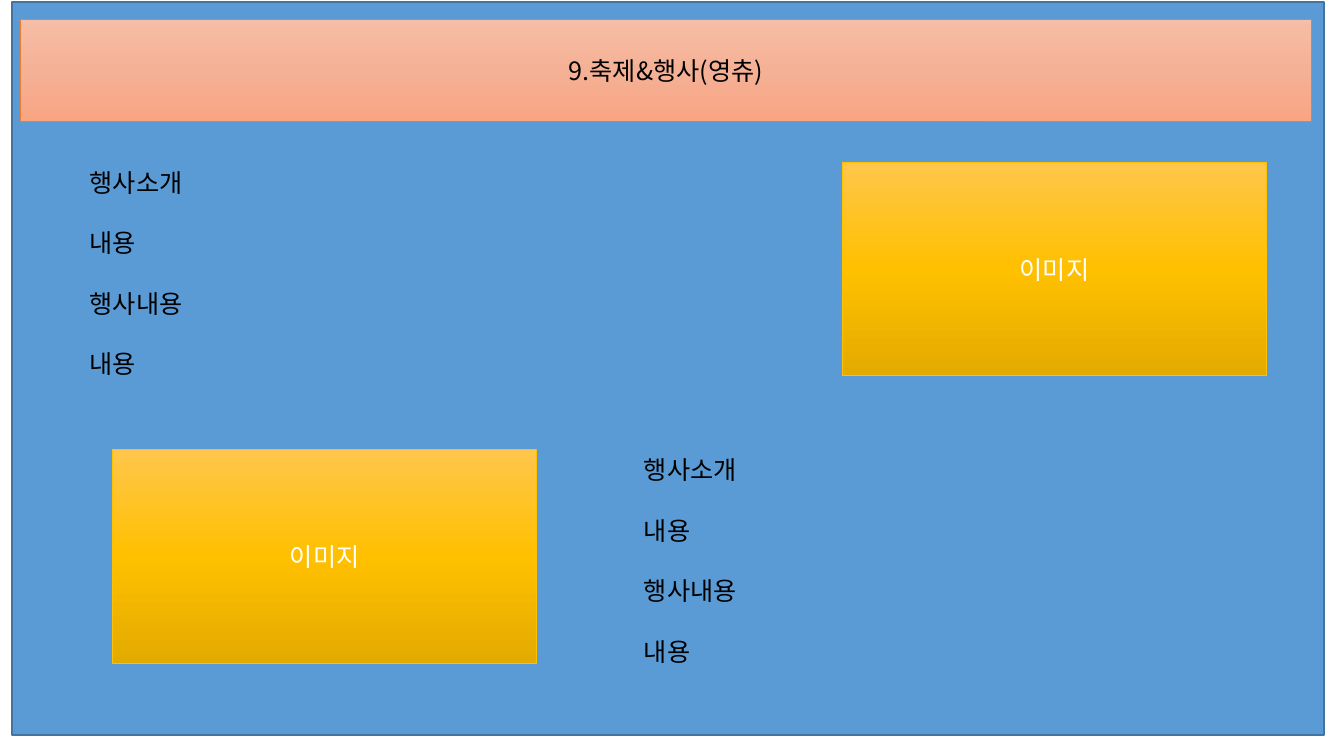
from copy import deepcopy

from lxml.etree import SubElement
from pptx import Presentation
from pptx.dml.color import RGBColor
from pptx.enum.shapes import MSO_SHAPE
from pptx.enum.text import MSO_ANCHOR, MSO_AUTO_SIZE, PP_ALIGN
from pptx.oxml.ns import qn
from pptx.util import Cm, Pt

FONT = "Noto Sans CJK KR"
BLACK = RGBColor(0x00, 0x00, 0x00)
WHITE = RGBColor(0xFF, 0xFF, 0xFF)
BLUE = RGBColor(0x5B, 0x9B, 0xD5)
DARK_BLUE = RGBColor(0x43, 0x73, 0x9E)
ORANGE = RGBColor(0xED, 0x7D, 0x31)
GOLD = RGBColor(0xFF, 0xC0, 0x00)
PEACH_SHADES = (RGBColor(0xF7, 0xBD, 0xA5), RGBColor(0xF5, 0xB1, 0x96),
                RGBColor(0xF8, 0xA5, 0x82))
GOLD_SHADES = (RGBColor(0xFF, 0xC6, 0x4B), GOLD, RGBColor(0xE3, 0xAB, 0x00))

LINE_PITCH = Pt(21.6)
EVENT_LINES = ("행사소개", "내용", "행사내용", "내용")


def format_paragraph(paragraph, color, align):
    paragraph.alignment = align
    paragraph.font.name = FONT
    paragraph.font.size = Pt(18)
    paragraph.font.color.rgb = color
    # East Asian typeface for the Korean text
    defaults = paragraph._p.pPr.find(qn("a:defRPr"))
    SubElement(defaults, qn("a:ea")).set("typeface", FONT)


def outline(shape, color, width):
    shape.line.color.rgb = color
    shape.line.width = Pt(width)
    shape.shadow.inherit = False


def shade_downwards(shape, shades):
    shape.fill.gradient()
    shape.fill.gradient_angle = 270
    stop_list = shape.element.find(".//" + qn("a:gsLst"))
    stop_list.append(deepcopy(stop_list[0]))
    for i, (stop, shade) in enumerate(zip(shape.fill.gradient_stops, shades)):
        stop.position = i / 2
        stop.color.rgb = shade


def fill_centred(shape, text, color):
    frame = shape.text_frame
    frame.text = text
    frame.word_wrap = True
    frame.auto_size = MSO_AUTO_SIZE.NONE
    frame.vertical_anchor = MSO_ANCHOR.MIDDLE
    format_paragraph(frame.paragraphs[0], color, PP_ALIGN.CENTER)


def add_panel(slide, left, top, width, height):
    panel = slide.shapes.add_shape(MSO_SHAPE.RECTANGLE, left, top, width, height)
    panel.fill.solid()
    panel.fill.fore_color.rgb = BLUE
    outline(panel, DARK_BLUE, 1)
    # The panel lies behind the title
    slide.shapes.title.element.addprevious(panel.element)


def place_title(slide, left, top, width, height):
    title = slide.shapes.title
    title.left, title.top, title.width, title.height = left, top, width, height
    shade_downwards(title, PEACH_SHADES)
    outline(title, ORANGE, 0.5)
    fill_centred(title, "9.축제&행사(영츄)", BLACK)


def add_image_area(slide, left, top, width, height):
    area = slide.shapes.add_shape(MSO_SHAPE.RECTANGLE, left, top, width, height)
    shade_downwards(area, GOLD_SHADES)
    outline(area, GOLD, 0.5)
    fill_centred(area, "이미지", WHITE)


def add_description(slide, left, top, width, height):
    frame = slide.shapes.add_textbox(left, top, width, height).text_frame
    frame.word_wrap = True
    frame.text = "\n".join(EVENT_LINES)
    for paragraph in frame.paragraphs:
        paragraph.line_spacing = LINE_PITCH
        paragraph.space_after = LINE_PITCH
        format_paragraph(paragraph, BLACK, PP_ALIGN.LEFT)


def add_event(slide, top, image_left, text_left, text_width):
    add_image_area(slide, image_left, top, Cm(10.69), Cm(5.38))
    add_description(slide, text_left, top, text_width, Cm(5.56))


def main():
    prs = Presentation()
    prs.slide_width, prs.slide_height = Cm(33.87), Cm(19.05)
    slide = prs.slides.add_slide(prs.slide_layouts[5])

    # Background and heading
    add_panel(slide, Cm(0.3), Cm(0.05), Cm(33.07), Cm(18.47))
    place_title(slide, Cm(0.51), Cm(0.48), Cm(32.54), Cm(2.57))

    # Two events with image and text on alternating sides
    add_event(slide, Cm(4.09), Cm(21.23), Cm(2.01), Cm(17.32))
    add_event(slide, Cm(11.33), Cm(2.84), Cm(15.98), Cm(15.95))

    prs.save("out.pptx")


if __name__ == "__main__":
    main()
